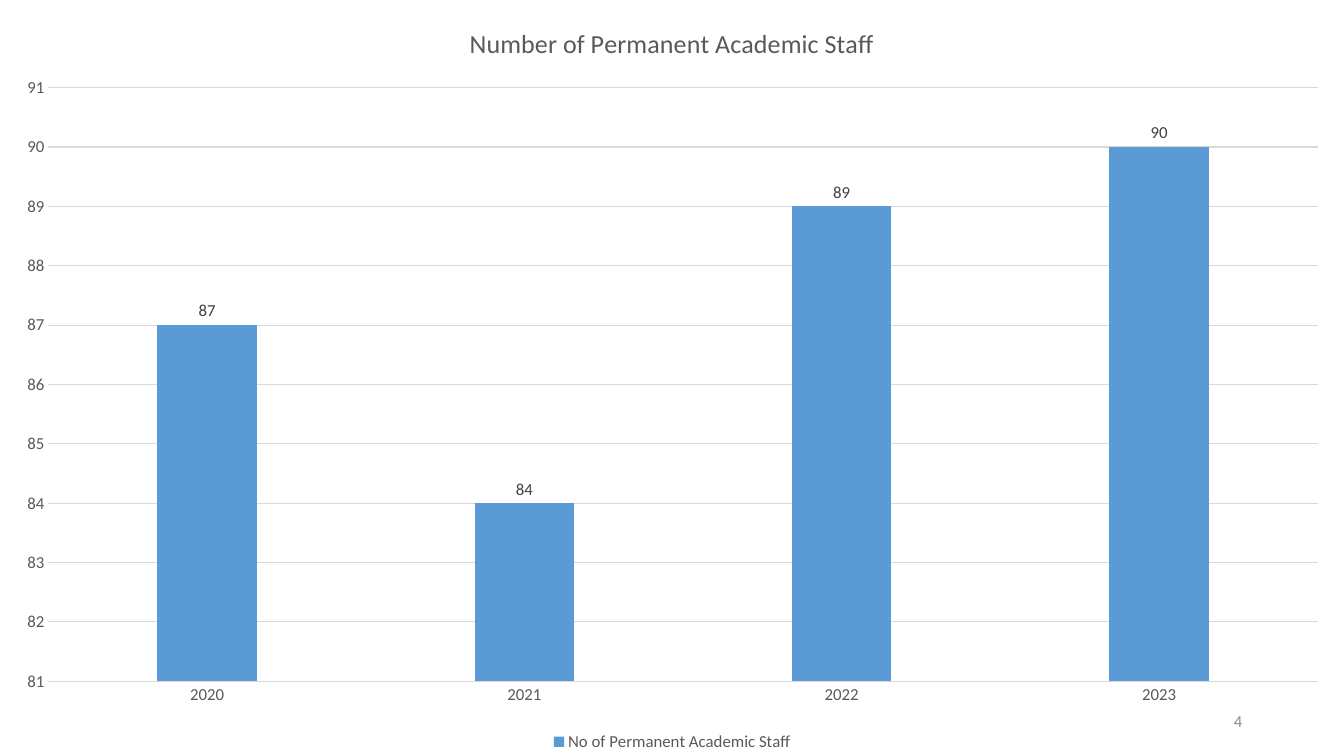
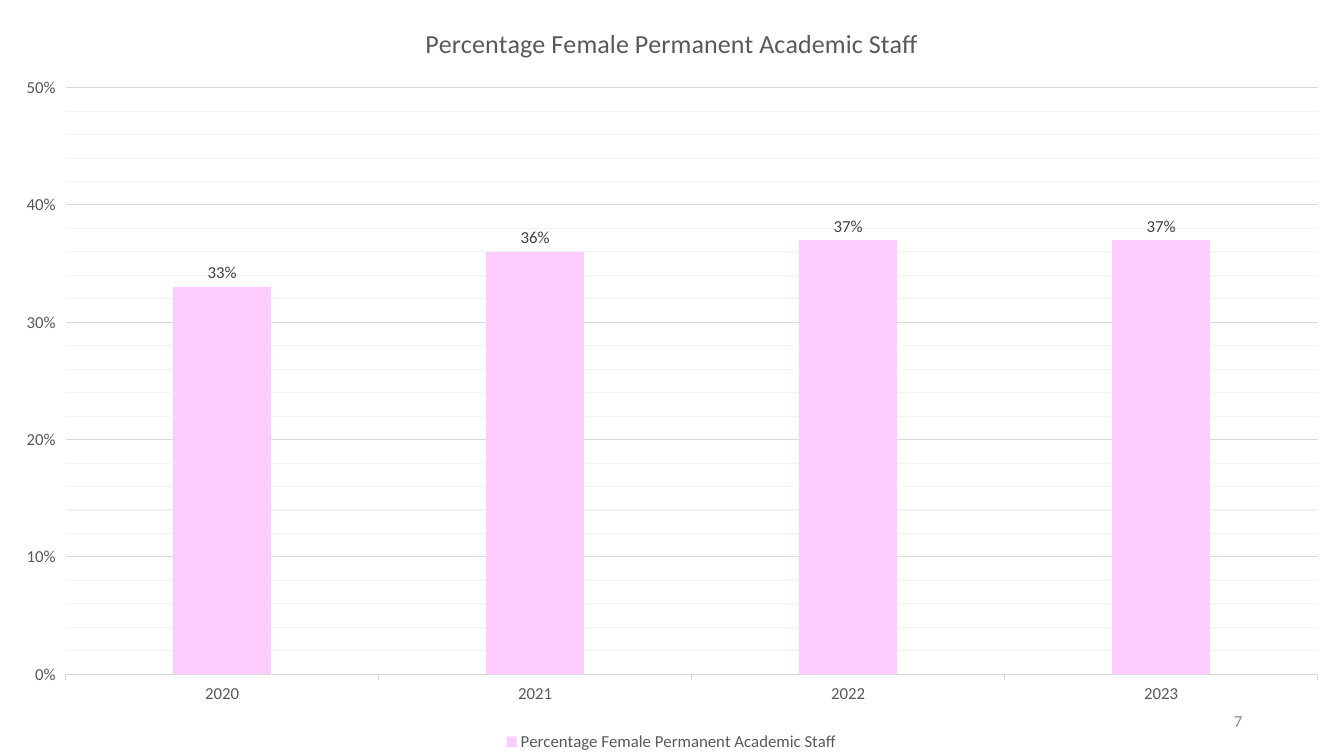
from pptx import Presentation
from pptx.chart.data import CategoryChartData
from pptx.dml.color import RGBColor
from pptx.enum.chart import XL_CHART_TYPE, XL_LABEL_POSITION, XL_LEGEND_POSITION, XL_TICK_MARK
from pptx.enum.text import MSO_ANCHOR, PP_ALIGN
from pptx.oxml import parse_xml
from pptx.oxml.ns import nsdecls
from pptx.util import Inches, Pt

HUES = {"text": "595959", "label": "404040", "page": "8C8C8C", "grid": "D9D9D9",
        "minor": "F2F2F2", "blue": "5B9BD5", "pink": "FFCCFF"}
FACE = "Calibri"
WIDE, HIGH = 13.33, 7.5
YEARS = ["2020", "2021", "2022", "2023"]


def style(font, size=12, hue="text"):
    font.name, font.size, font.bold = FACE, Pt(size), False
    font.color.rgb = RGBColor.from_string(HUES[hue])


def rule(line):
    line.color.rgb = RGBColor.from_string(HUES["grid"])
    line.width = Pt(0.75)


def add_text(slide, text, box, size=12, hue="text", align=PP_ALIGN.LEFT):
    frame = slide.shapes.add_textbox(*map(Inches, box)).text_frame
    frame.word_wrap = True
    frame.vertical_anchor = MSO_ANCHOR.MIDDLE
    para = frame.paragraphs[0]
    para.alignment = align
    run = para.add_run()
    run.text = text
    style(run.font, size, hue)


def layout(box, size, inner=False):
    """Turn a place in inches into a manual layout in a chart of this size."""
    wide, high = size
    tags = '<c:layoutTarget val="inner"/>' if inner else ""
    tags += '<c:xMode val="edge"/><c:yMode val="edge"/>'
    for key, val, full in zip("xywh", box, (wide, high, wide, high)):
        tags += f'<c:{key} val="{val / full:.4f}"/>'
    return parse_xml(f'<c:layout {nsdecls("c")}><c:manualLayout>{tags}'
                     "</c:manualLayout></c:layout>")


def drop_layout(node):
    for old in node.findall("{*}layout"):
        node.remove(old)


def set_minor(axis, unit):
    axis.minor_unit = unit
    axis.has_minor_gridlines = True
    grid = axis._element.find("{*}minorGridlines")
    grid.append(parse_xml(
        f'<c:spPr {nsdecls("c", "a")}><a:ln w="{Pt(0.75)}"><a:solidFill>'
        f'<a:srgbClr val="{HUES["minor"]}"/></a:solidFill></a:ln></c:spPr>'))


def set_axes(chart, scale, form, tick, minor):
    years, values = chart.category_axis, chart.value_axis
    for axis in (years, values):
        axis.major_tick_mark = tick
        axis.minor_tick_mark = XL_TICK_MARK.NONE
        style(axis.tick_labels.font)
    rule(years.format.line)
    values.format.line.fill.background()
    values.minimum_scale, values.maximum_scale, values.major_unit = scale
    values.tick_labels.number_format = form
    values.tick_labels.number_format_is_linked = False
    rule(values.major_gridlines.format.line)
    if minor:
        set_minor(values, minor)


def set_bars(plot, hue, form):
    plot.gap_width, plot.overlap = 219, -27
    plot.vary_by_categories = False
    fill = plot.series[0].format.fill
    fill.solid()
    fill.fore_color.rgb = RGBColor.from_string(HUES[hue])
    plot.has_data_labels = True
    labels = plot.data_labels
    labels.show_value = True
    labels.position = XL_LABEL_POSITION.OUTSIDE_END
    labels.number_format, labels.number_format_is_linked = form, False
    style(labels.font, hue="label")


def set_legend(chart, left, size):
    chart.has_legend = True
    legend = chart.legend
    legend.position = XL_LEGEND_POSITION.BOTTOM
    legend.include_in_layout = False
    style(legend.font)
    node = legend._element
    drop_layout(node)
    place = layout((left, size[1] - 0.28), size)
    node.find("{*}legendPos").addnext(place)


def add_bars(slide, box, title, name, vals, hue, scale, area, left,
             form="General", tick=XL_TICK_MARK.NONE, minor=None):
    data = CategoryChartData(number_format=form)
    data.categories = YEARS
    data.add_series(name, vals)
    chart = slide.shapes.add_chart(XL_CHART_TYPE.COLUMN_CLUSTERED,
                                   *map(Inches, box), data).chart
    style(chart.font)
    chart.has_title = True
    run = chart.chart_title.text_frame.paragraphs[0].add_run()
    run.text = title
    style(run.font, 18.6)
    chart.chart_title.include_in_layout = False
    set_axes(chart, scale, form, tick, minor)
    set_bars(chart.plots[0], hue, form)
    set_legend(chart, left, box[2:])
    plot = chart._chartSpace.chart.plotArea
    drop_layout(plot)
    plot.insert(0, layout(area, box[2:], inner=True))


def add_slide(deck, page, **chart):
    slide = deck.slides.add_slide(deck.slide_layouts[6])
    add_bars(slide, (0, 0, WIDE, HIGH), **chart)
    add_text(slide, page, (9.42, 6.95, 3, 0.4), hue="page", align=PP_ALIGN.RIGHT)


def main():
    deck = Presentation()
    deck.slide_width, deck.slide_height = Inches(WIDE), Inches(HIGH)
    add_slide(deck, "4", title="Number of Permanent Academic Staff",
              name="No of Permanent Academic Staff", vals=[87, 84, 89, 90],
              hue="blue", scale=(81, 91, 1),
              area=(0.48, 0.87, 12.59, 5.89), left=5.44)
    female = "Percentage Female Permanent Academic Staff"
    add_slide(deck, "7", title=female, name=female, vals=[0.33, 0.36, 0.37, 0.37],
              hue="pink", scale=(0, 0.5, 0.1),
              area=(0.65, 0.87, 12.42, 5.82), left=4.97,
              form="0%", tick=XL_TICK_MARK.OUTSIDE, minor=0.02)
    deck.save("out.pptx")


if __name__ == "__main__":
    main()
